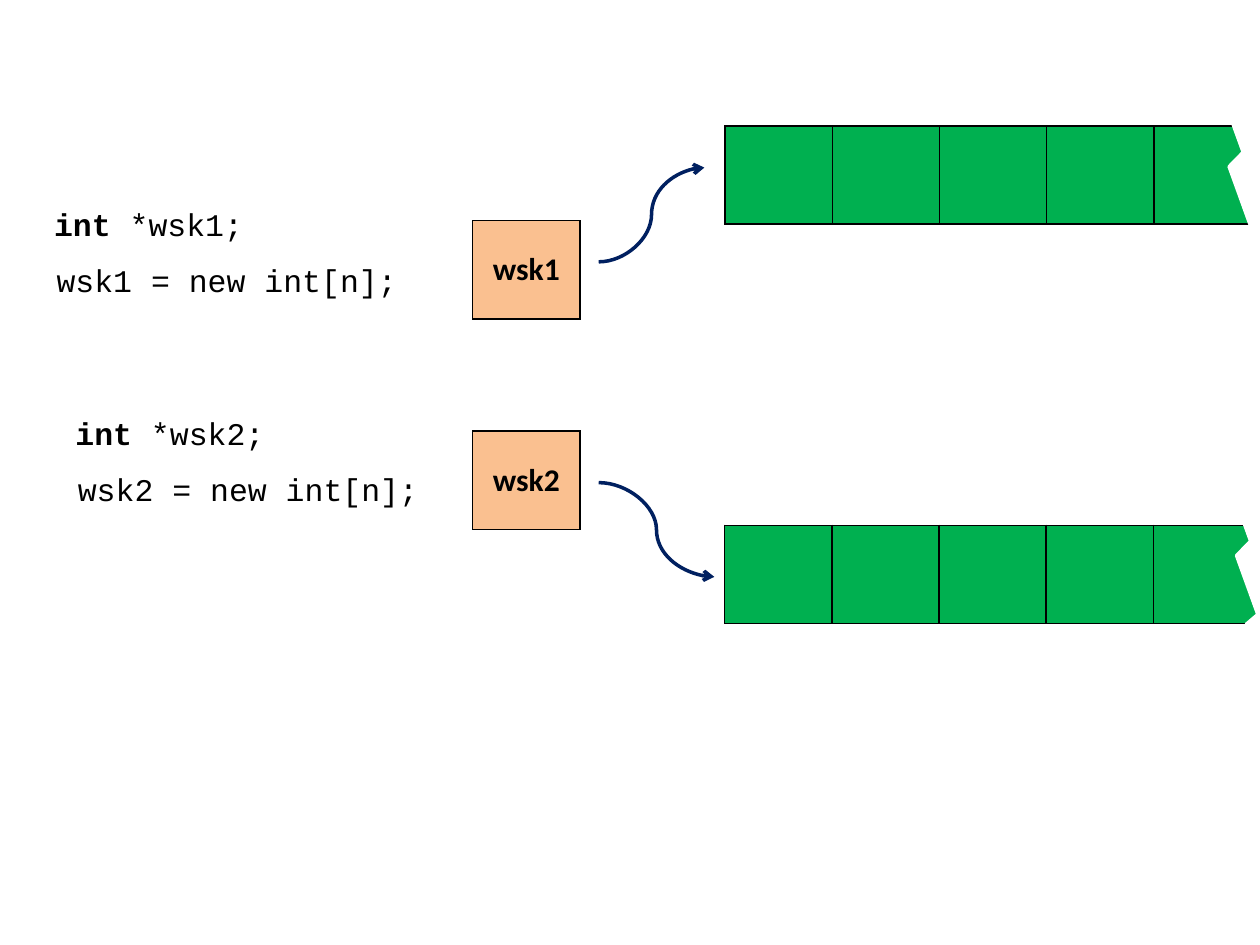
"""Build a slide showing two pointers to dynamically allocated arrays."""
import lxml.etree
import pptx
import pptx.dml.color
import pptx.enum.shapes
import pptx.enum.text
import pptx.oxml.ns
import pptx.util

Cm = pptx.util.Cm
Pt = pptx.util.Pt
qn = pptx.oxml.ns.qn
RGBColor = pptx.dml.color.RGBColor

BLACK = RGBColor(0x00, 0x00, 0x00)
WHITE = RGBColor(0xFF, 0xFF, 0xFF)
GREEN = RGBColor(0x00, 0xB0, 0x50)
ORANGE = RGBColor(0xFA, 0xC0, 0x90)
NAVY = RGBColor(0x00, 0x20, 0x60)


def write(paragraph, text, font="Courier New", size=18, bold=False, color=BLACK):
    run = paragraph.add_run()
    run.text = text
    run.font.name = font
    run.font.size = Pt(size)
    run.font.bold = bold
    run.font.color.rgb = color


class MemoryDiagram:
    cell_width = Cm(2.16)
    cell_height = Cm(1.98)

    def __init__(self, slide):
        self.slide = slide

    def code(self, left, top, width, statement, keyword=""):
        box = self.slide.shapes.add_textbox(Cm(left), Cm(top), Cm(width), Cm(1.03))
        frame = box.text_frame
        frame.word_wrap = False
        frame.auto_size = pptx.enum.text.MSO_AUTO_SIZE.SHAPE_TO_FIT_TEXT
        if keyword:
            write(frame.paragraphs[0], keyword, bold=True)
        write(frame.paragraphs[0], statement)

    def border(self, cell):
        properties = cell._tc.get_or_add_tcPr()
        for position, side in enumerate(("a:lnL", "a:lnR", "a:lnT", "a:lnB")):
            edge = lxml.etree.Element(qn(side), w=str(Pt(1)))
            fill = lxml.etree.SubElement(edge, qn("a:solidFill"))
            lxml.etree.SubElement(fill, qn("a:srgbClr"), val=str(BLACK))
            properties.insert(position, edge)

    def cells(self, left, top, count, color, label=""):
        table = self.slide.shapes.add_table(
            1, count, Cm(left), Cm(top), self.cell_width * count, self.cell_height
        ).table
        table.first_row = False
        table.horz_banding = False
        for column, cell in zip(table.columns, table.iter_cells()):
            column.width = self.cell_width
            cell.fill.solid()
            cell.fill.fore_color.rgb = color
            self.border(cell)
        if label:
            cell = table.cell(0, 0)
            cell.vertical_anchor = pptx.enum.text.MSO_ANCHOR.MIDDLE
            paragraph = cell.text_frame.paragraphs[0]
            paragraph.alignment = pptx.enum.text.PP_ALIGN.CENTER
            write(paragraph, label, font="Calibri", bold=True)

    def torn_edge(self, left, top):
        bolt = self.slide.shapes.add_shape(
            pptx.enum.shapes.MSO_SHAPE.LIGHTNING_BOLT,
            Cm(left), Cm(top), Cm(1.9), Cm(5.51),
        )
        bolt.rotation = 10.3
        bolt.shadow.inherit = False
        bolt.fill.solid()
        bolt.fill.fore_color.rgb = WHITE
        bolt.line.color.rgb = WHITE
        bolt.line.width = Pt(2)

    def arrow(self, start, end):
        curve = self.slide.shapes.add_connector(
            pptx.enum.shapes.MSO_CONNECTOR.CURVE, *map(Cm, start + end)
        )
        curve.line.color.rgb = NAVY
        curve.line.width = Pt(2)
        properties = curve._element.spPr
        lxml.etree.SubElement(properties.find(qn("a:ln")), qn("a:tailEnd"), type="arrow")
        lxml.etree.SubElement(properties, qn("a:effectLst"))


def main():
    deck = pptx.Presentation()
    deck.slide_width = Cm(25.4)
    deck.slide_height = Cm(19.05)
    diagram = MemoryDiagram(deck.slides.add_slide(deck.slide_layouts[6]))

    pointers = (
        ("wsk1", 4.45, (0.84, 4.01), (14.62, 2.54), (24.28, 0.97),
         (12.07, 5.28), (14.2, 3.38)),
        ("wsk2", 8.69, (1.27, 8.23), (14.61, 10.59), (24.43, 8.81),
         (12.07, 9.73), (14.4, 11.63)),
    )
    for name, pointer_top, code_at, array_at, tear_at, start, end in pointers:
        code_left, code_top = code_at
        diagram.cells(*array_at, 5, GREEN)
        diagram.torn_edge(*tear_at)
        diagram.cells(9.53, pointer_top, 1, ORANGE, label=name)
        diagram.arrow(start, end)
        diagram.code(code_left, code_top, 4.34, f"*{name};", keyword="int ")
        diagram.code(code_left + 0.05, code_top + 1.13, 7.42, f"{name} = new int[n];")

    deck.save("out.pptx")


if __name__ == "__main__":
    main()
